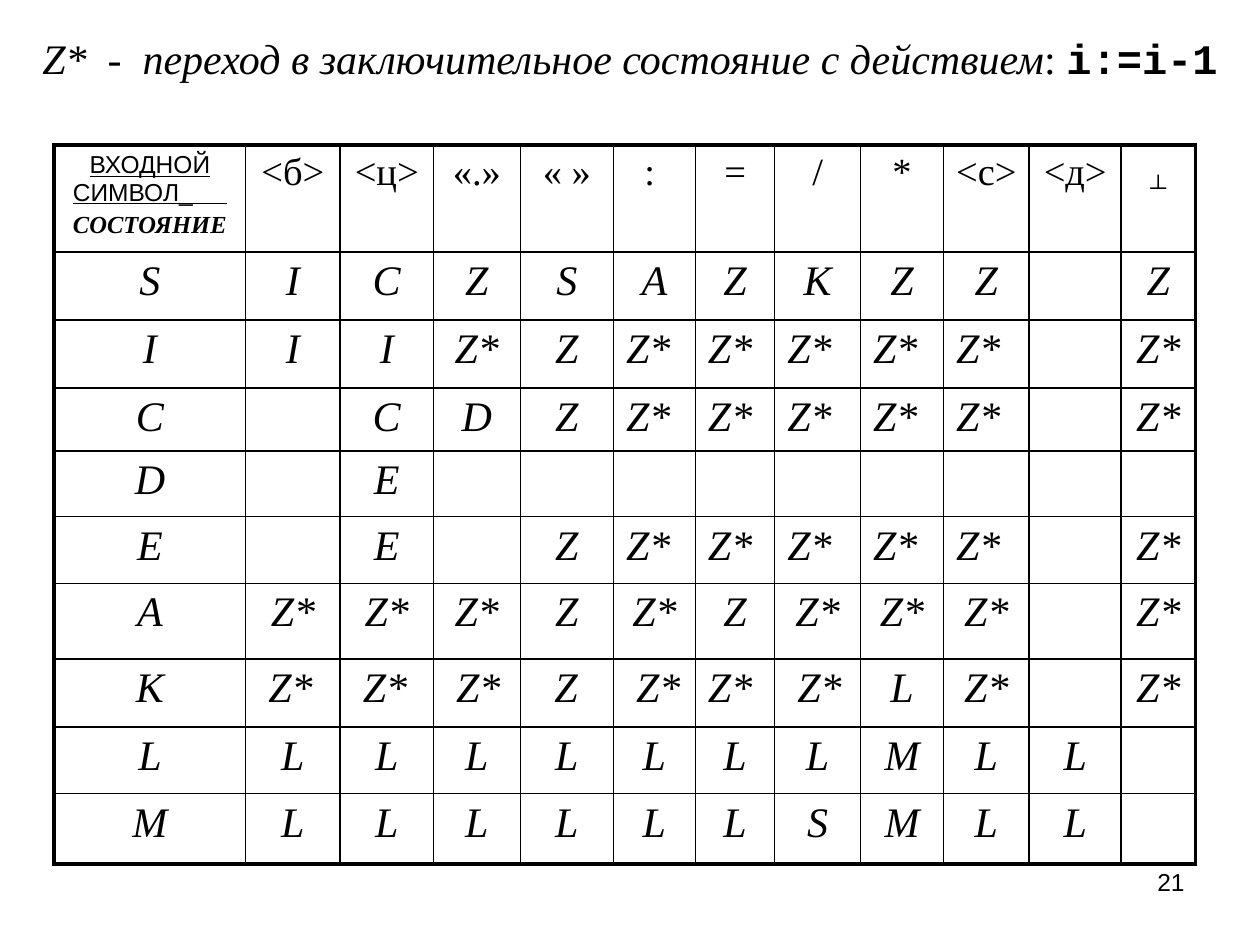
from lxml.etree import SubElement
from pptx import Presentation
from pptx.dml.color import RGBColor
from pptx.enum.text import MSO_ANCHOR, PP_ALIGN
from pptx.oxml.ns import qn
from pptx.util import Inches, Pt

COLORS = {"ink": "000000", "paper": "FFFFFF"}
SERIF, SANS, MONO = "Times New Roman", "Arial", "Courier New"
THIN, THICK = 1, 2.25

COLUMN_WIDTHS = [1.52, 0.75, 0.74, 0.69, 0.74, 0.65, 0.63, 0.68, 0.66, 0.68, 0.73, 0.59]
ROW_HEIGHTS = [0.85, 0.54, 0.54, 0.5, 0.52, 0.53, 0.6, 0.54, 0.53, 0.56]
SYMBOLS = ["<б>", "<ц>", "«.»", "« »", ": ", "=", "/", "*", "<с>", "<д>", "┴"]
# State followed by its transitions; "-" is an empty cell
TRANSITIONS = [
    "S I C Z S A Z K Z Z - Z",
    "I I I Z* Z Z* Z* Z* Z* Z* - Z*",
    "C - C D Z Z* Z* Z* Z* Z* - Z*",
    "D - E - - - - - - - - -",
    "E - E - Z Z* Z* Z* Z* Z* - Z*",
    "A Z* Z* Z* Z Z* Z Z* Z* Z* - Z*",
    "K Z* Z* Z* Z Z* Z* Z* L Z* - Z*",
    "L L L L L L L L M L L -",
    "M L L L L L L S M L L -",
]
# Columns set flush left in some states, with the left margin of each
LEFT_MARGINS = {state: dict.fromkeys(range(5, 10), 0.1) for state in "ICE"}
LEFT_MARGINS["K"] = {1: 0.18, 2: 0.18, 3: 0.18, 4: 0.27, 5: 0.18, 6: 0.1, 7: 0.18}


def style(span, size, name=SERIF, bold=False, italic=False):
    font = span.font
    font.size, font.name, font.bold, font.italic = Pt(size), name, bold, italic
    font.color.rgb = RGBColor.from_string(COLORS["ink"])


def set_borders(cell, widths):
    """Draw the cell's edges from a dict of side letter to width in points."""
    properties = cell._tc.get_or_add_tcPr()
    for side, width in widths.items():
        line = SubElement(properties, qn(f"a:ln{side}"), w=str(Pt(width)))
        fill = SubElement(line, qn("a:solidFill"))
        SubElement(fill, qn("a:srgbClr"), val=COLORS["ink"])


deck = Presentation()
deck.slide_width, deck.slide_height = Inches(10), Inches(7.5)
page = deck.slides.add_slide(deck.slide_layouts[5])
page.background.fill.solid()
page.background.fill.fore_color.rgb = RGBColor.from_string(COLORS["paper"])

# Title
title = page.shapes.title
title.left, title.top, title.width, title.height = Inches(0), Inches(0), Inches(10), Inches(0.91)
title.text_frame.vertical_anchor = MSO_ANCHOR.MIDDLE
para = title.text_frame.paragraphs[0]
para.alignment = PP_ALIGN.CENTER
for text, name, bold, italic in [
    ("Z*  -  переход в заключительное состояние с действием", SERIF, False, True),
    (": ", SERIF, False, False),
    ("i:=i-1", MONO, True, False),
]:
    span = para.add_run()
    span.text = text
    style(span, 24, name, bold, italic)

# Transition table
frame = page.shapes.add_table(
    len(ROW_HEIGHTS), len(COLUMN_WIDTHS), Inches(0.43), Inches(1.15),
    Inches(sum(COLUMN_WIDTHS)), Inches(sum(ROW_HEIGHTS)))
table = frame.table
table.first_row = table.horz_banding = False
for column, width in zip(table.columns, COLUMN_WIDTHS):
    column.width = Inches(width)
for row, height in zip(table.rows, ROW_HEIGHTS):
    row.height = Inches(height)

last_row, last_column = len(ROW_HEIGHTS) - 1, len(COLUMN_WIDTHS) - 1
for r in range(last_row + 1):
    for c in range(last_column + 1):
        cell = table.cell(r, c)
        set_borders(cell, {
            "L": THICK if c == 0 else THIN,
            "R": THICK if c == last_column else THIN,
            "T": THICK if r == 0 else THIN,
            "B": THICK if r == last_row else THIN,
        })
        cell.fill.background()

# Header row
corner = table.cell(0, 0).text_frame
corner.text = "ВХОДНОЙ СИМВОЛ_     \nСОСТОЯНИЕ"
symbol_para, state_para = corner.paragraphs
symbol_para.alignment = state_para.alignment = PP_ALIGN.CENTER
state_para.space_before = Pt(2.8)
style(symbol_para.runs[0], 14, SANS)
symbol_para.runs[0].font.underline = True
style(state_para.runs[0], 14, bold=True, italic=True)

for c, symbol in enumerate(SYMBOLS, start=1):
    para = table.cell(0, c).text_frame.paragraphs[0]
    para.text = symbol
    para.alignment = PP_ALIGN.CENTER
    style(para.runs[0], 22)
para.runs[0].font._element.set("baseline", "-25000")

# States and transitions
for r, line in enumerate(TRANSITIONS, start=1):
    entries = line.split()
    margins = LEFT_MARGINS.get(entries[0], {})
    for c, entry in enumerate(entries):
        if entry == "-":
            continue
        cell = table.cell(r, c)
        para = cell.text_frame.paragraphs[0]
        para.text = entry
        para.alignment = PP_ALIGN.LEFT if c in margins else PP_ALIGN.CENTER
        if c in margins:
            cell.margin_left = Inches(margins[c])
        style(para.runs[0], 24, italic=True)

# Page number
box = page.shapes.add_textbox(Inches(7.17), Inches(6.83), Inches(2.33), Inches(0.52))
box.text_frame.word_wrap = True
para = box.text_frame.paragraphs[0]
para.text = "21"
para.alignment = PP_ALIGN.RIGHT
style(para.runs[0], 14, SANS)

deck.save("out.pptx")
